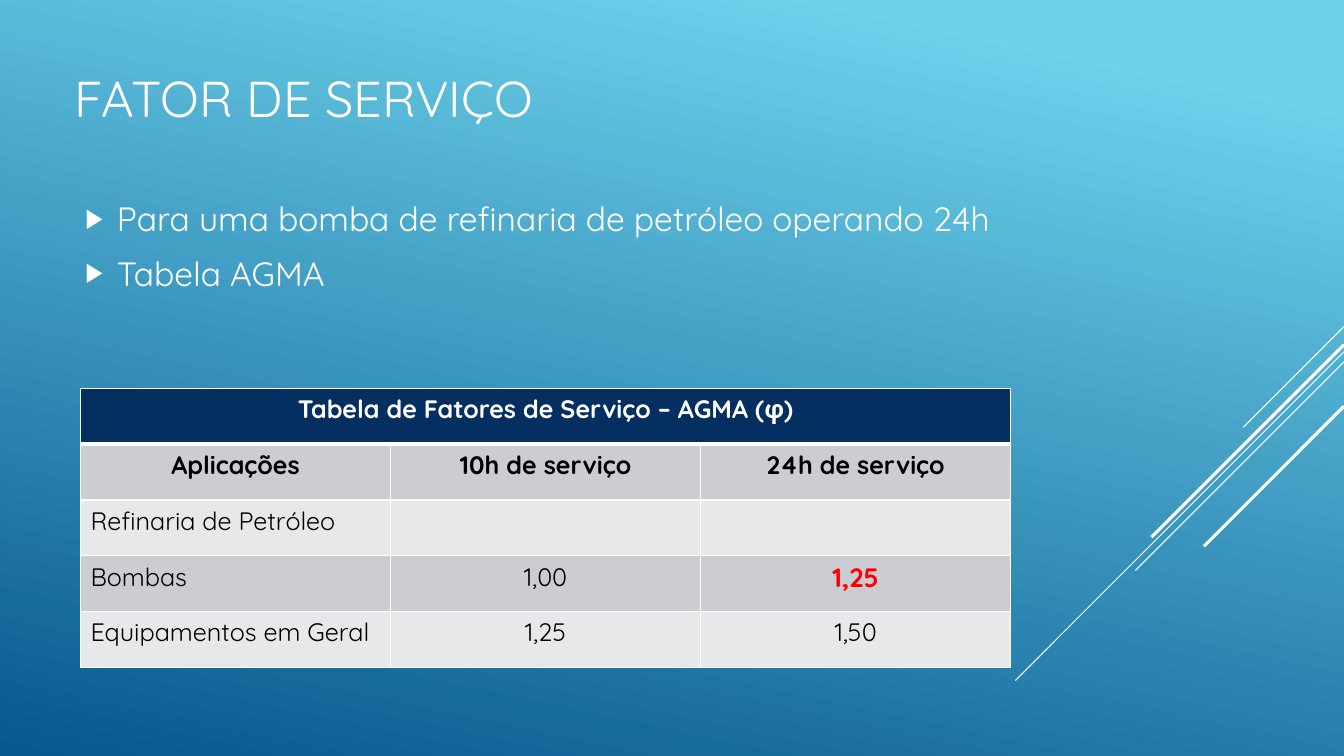
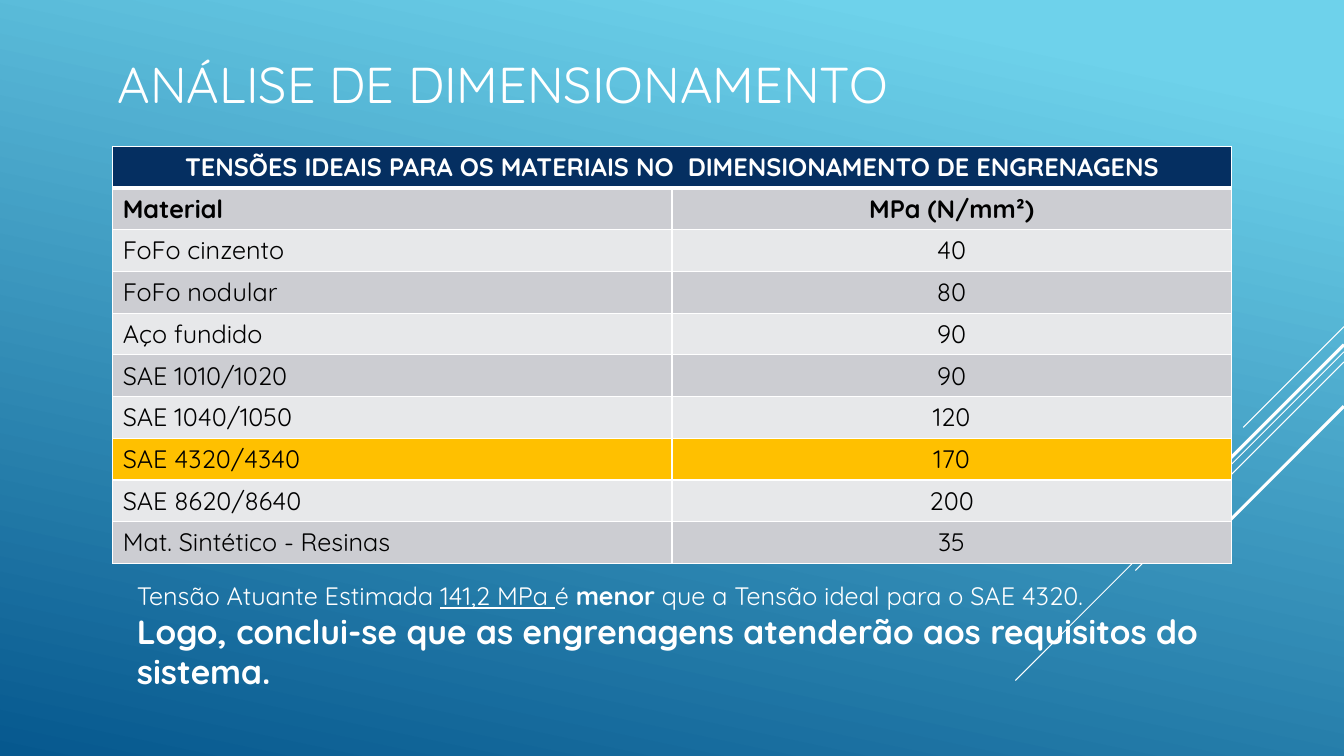
from pptx import Presentation
from pptx.dml.color import RGBColor
from pptx.enum import shapes, text
from pptx.oxml import parse_xml
from pptx.oxml import ns
from pptx.util import Pt

HUES = {
    "white": "FFFFFF", "black": "000000", "red": "FF0000",
    "sky": "6ED2EB", "deep": "06588E", "navy": "052F61",
    "dark": "CCCDD2", "light": "E7E8EA", "gold": "FFC000",
}
FONT = "Quicksand"
WIDE, HIGH = 960, 540
# Diagonal rays from the right edge: start height, run, weight
RAYS = [(233.3, 72, 0.75), (251.3, 234.7, 0.75), (258.5, 149, 0.75),
        (246.2, 137.5, 2.25), (290.2, 100, 2.25)]


def rgb(name):
    return RGBColor.from_string(HUES[name])


def xml(body):
    """Parse one element in the drawing namespace."""
    tag, rest = body.split(" ", 1)
    return parse_xml(f"{tag} {ns.nsdecls('a')} {rest}")


class Deck:
    def __init__(self):
        self.prs = Presentation()
        self.prs.slide_width, self.prs.slide_height = Pt(WIDE), Pt(HIGH)
        self.slide = None
        # Shared background
        fill = self.prs.slide_master.background.fill
        fill.gradient()
        fill.gradient_angle = 258
        for stop, (pos, hue) in zip(fill.gradient_stops, [(0.1, "sky"), (1, "deep")]):
            stop.position = pos
            stop.color.rgb = rgb(hue)

    def page(self, title, left, top):
        """Start a slide with its rays and title."""
        self.slide = self.prs.slides.add_slide(self.prs.slide_layouts[6])
        for y, run, weight in RAYS:
            self.ray(y, run, weight)
        frame = self.box(left, top, 672, 118.8)
        frame.vertical_anchor = text.MSO_ANCHOR.MIDDLE
        frame.text = title
        self.style(frame.paragraphs[0], 36)

    def ray(self, y, run, weight):
        line = self.slide.shapes.add_connector(
            shapes.MSO_CONNECTOR.STRAIGHT, Pt(WIDE), Pt(y), Pt(WIDE - run), Pt(y + run))
        line.line.color.rgb = rgb("white")
        line.line.width = Pt(weight)
        line._element.spPr.append(xml("<a:effectLst />"))

    def box(self, left, top, width, height):
        frame = self.slide.shapes.add_textbox(
            Pt(left), Pt(top), Pt(width), Pt(height)).text_frame
        frame.word_wrap = True
        return frame

    def style(self, par, size, hue="white", bold=False):
        for run in par.runs:
            font = run.font
            font.name, font.size, font.bold = FONT, Pt(size), bold
            font.color.rgb = rgb(hue)

    def list(self, items, left, top, width, height):
        """Bulleted list."""
        frame = self.box(left, top, width, height)
        frame.text = "\n".join(items)
        for par in frame.paragraphs:
            self.style(par, 24)
            par.space_before, par.space_after = Pt(4), Pt(6)
            props = par._p.get_or_add_pPr()
            props.set("marL", str(Pt(22.5)))
            props.set("indent", str(-Pt(22.5)))
            for body in (f'<a:buClr ><a:srgbClr val="{HUES["white"]}"/></a:buClr>',
                         '<a:buSzPct val="80000"/>',
                         '<a:buFont typeface="Arial"/>',
                         '<a:buChar char="▶"/>'):
                props.append(xml(body))

    def edges(self, cell, top=1, bottom=1):
        props = cell._tc.get_or_add_tcPr()
        sides = [("L", 1), ("R", 1), ("T", top), ("B", bottom)]
        for at, (side, weight) in enumerate(sides):
            props.insert(at, xml(
                f'<a:ln{side} w="{Pt(weight)}"><a:solidFill><a:srgbClr '
                f'val="{HUES["white"]}"/></a:solidFill></a:ln{side}>'))

    def table(self, title, rows, left, top, width, step, mid=(), gold=None, red=None):
        """Title row, heading row and banded body; mid lists centred headings."""
        cols = len(rows[0])
        data = [[title] + [""] * (cols - 1)] + rows
        grid = self.slide.shapes.add_table(
            len(data), cols, Pt(left), Pt(top), Pt(width), Pt(step * len(data))).table
        for col in grid.columns:
            col.width = Pt(width / cols)
        for r, row in enumerate(data):
            grid.rows[r].height = Pt(step)
            band = "navy" if r == 0 else "dark" if r % 2 else "light"
            for c, words in enumerate(row):
                cell = grid.cell(r, c)
                cell.text = words
                cell.fill.solid()
                cell.fill.fore_color.rgb = rgb("gold" if r == gold else band)
                self.edges(cell, 3 if r == 1 else 1, 3 if r == 0 else 1)
                par = cell.text_frame.paragraphs[0]
                if r == 0 or c > 0 or (r == 1 and c in mid):
                    par.alignment = text.PP_ALIGN.CENTER
                if (r, c) == red:
                    self.style(par, 19, "red", True)
                else:
                    self.style(par, 18, "black" if r else "white", r < 2)
        grid.cell(0, 0).merge(grid.cell(0, cols - 1))

    def note(self, parts, close, left, top, width, height):
        """A line of (words, look) parts and a bold closing line."""
        frame = self.box(left, top, width, height)
        first, last = frame.paragraphs[0], frame.add_paragraph()
        for words, _ in parts:
            first.add_run().text = words
        self.style(first, 18)
        for run, (_, look) in zip(first.runs, parts):
            run.font.bold = look == "bold"
            run.font.underline = look == "under"
        last.text = close
        self.style(last, 24, bold=True)


def main():
    deck = Deck()

    # Service factor
    deck.page("FATOR DE SERVIÇO", 46, 10)
    deck.list(["Para uma bomba de refinaria de petróleo operando 24h", "Tabela AGMA"],
              54, 138, 717, 90)
    deck.table("Tabela de Fatores de Serviço – AGMA (φ)", [
        ["Aplicações", "10h de serviço", "24h de serviço"],
        ["Refinaria de Petróleo", "", ""],
        ["Bombas", "1,00", "1,25"],
        ["Equipamentos em Geral", "1,25", "1,50"],
    ], 57.5, 277.4, 664.5, 39.9, mid=(0,), red=(3, 2))

    # Sizing analysis
    deck.page("ANÁLISE DE DIMENSIONAMENTO", 77, 0)
    deck.table("TENSÕES IDEAIS PARA OS MATERIAIS NO  DIMENSIONAMENTO DE ENGRENAGENS", [
        ["Material", "MPa (N∕mm²)"],
        ["FoFo cinzento", "40"],
        ["FoFo nodular", "80"],
        ["Aço fundido", "90"],
        ["SAE 1010∕1020", "90"],
        ["SAE 1040∕1050", "120"],
        ["SAE 4320∕4340", "170"],
        ["SAE 8620∕8640", "200"],
        ["Mat. Sintético - Resinas", "35"],
    ], 80.5, 104.5, 799, 29.8, gold=7)
    deck.note([("Tensão Atuante Estimada ", ""), ("141,2 MPa ", "under"), ("é ", ""),
               ("menor", "bold"), (" que a Tensão ideal para o SAE 4320.", "")],
              "Logo, conclui-se que as engrenagens atenderão aos requisitos do sistema.",
              90.7, 411, 789, 87)

    deck.prs.save("out.pptx")


if __name__ == "__main__":
    main()
